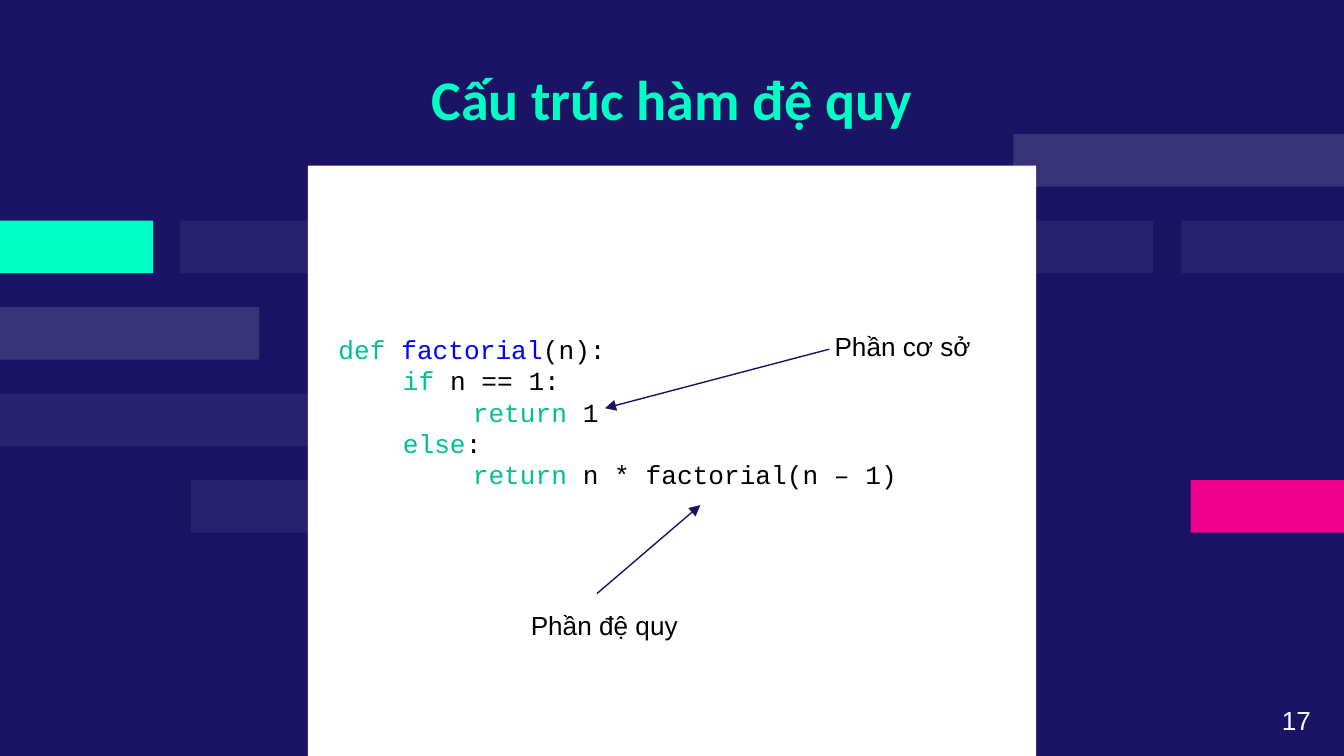
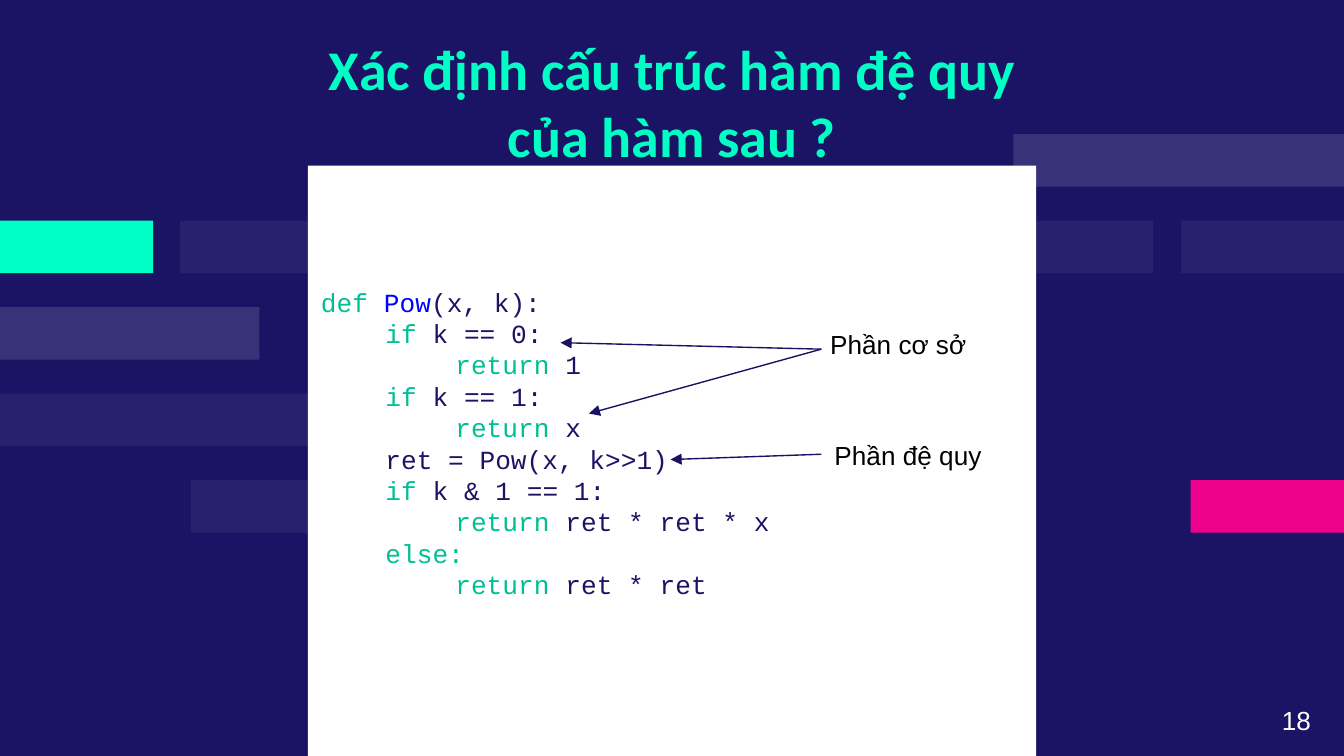
from dataclasses import dataclass

from lxml.etree import SubElement
from pptx import Presentation
from pptx.dml.color import RGBColor
from pptx.enum.shapes import MSO_CONNECTOR as Connector, MSO_SHAPE as Shape
from pptx.enum.text import MSO_ANCHOR as Anchor, MSO_AUTO_SIZE as AutoSize, PP_ALIGN as Align
from pptx.oxml.ns import qn
from pptx.util import Inches, Pt

NAVY, MINT, PINK, WHITE, BLACK = "1B1464", "00FFC5", "EC008C", "FFFFFF", "000000"
KEYWORD, FUNCTION, ARROW = "00BF94", "0000FF", "191264"
INDENTS = (0, 0.48, 1)  # inches for each code level


@dataclass
class Box:
    left: float
    top: float
    width: float
    height: float

    def point(self, x, y):
        """Turn percentages of this box into a position on the slide."""
        return int(self.left + self.width * x / 100), int(self.top + self.height * y / 100)

    def cut(self, x, y, width, height):
        """Cut out a smaller box, given in percent of this one."""
        return Box(*self.point(x, y), int(self.width * width / 100), int(self.height * height / 100))

    def frame(self):
        return self.left, self.top, self.width, self.height


SLIDE = Box(0, 0, Inches(10), Inches(10) * 9 // 16)
PANEL = SLIDE.cut(22.9, 21.9, 54.2, 78.1)

# Brick wall: row, left and width in percent, colour, opacity in percent
BRICK_TOP, BRICK_PITCH, BRICK_HEIGHT = 17.75, 11.44, 6.95
BRICKS = (
    (0, 75.4, 24.6, WHITE, 13),
    (1, 0, 11.4, MINT, 100),
    (1, 13.4, 12.1, WHITE, 6),
    (1, 59.9, 25.9, WHITE, 6),
    (1, 87.9, 12.1, WHITE, 6),
    (2, 0, 19.3, WHITE, 13),
    (3, 0, 24.6, WHITE, 6),
    (4, 14.2, 12.1, WHITE, 6),
    (4, 88.6, 11.4, PINK, 100),
)

# Code lines: level, keyword, function name, rest
FACTORIAL = (
    (0, "def ", "factorial", "(n):"),
    (1, "if", "", " n == 1:"),
    (2, "return", "", " 1"),
    (1, "else", "", ":"),
    (2, "return", "", " n * factorial(n – 1)"),
)
POWER = (
    (0, "def ", "Pow", "(x, k):"),
    (1, "if ", "", "k == 0:"),
    (2, "return ", "", "1"),
    (1, "if ", "", "k == 1:"),
    (2, "return ", "", "x"),
    (1, "", "", "ret = Pow(x, k>>1)"),
    (1, "if ", "", "k & 1 == 1:"),
    (2, "return ", "", "ret * ret * x"),
    (1, "else:", "", ""),
    (2, "return ", "", "ret * ret"),
)


def rgb(color):
    return RGBColor.from_string(color)


def set_font(font, name, size, color, bold=False):
    font.name, font.size, font.bold = name, Pt(size), bold
    font.color.rgb = rgb(color)


def add_block(page, box, color, opacity=100):
    block = page.shapes.add_shape(Shape.RECTANGLE, *box.frame())
    block.shadow.inherit = False
    block.line.fill.background()
    block.fill.solid()
    block.fill.fore_color.rgb = rgb(color)
    if opacity < 100:
        tint = block._element.spPr.find(qn("a:solidFill")).find(qn("a:srgbClr"))
        SubElement(tint, qn("a:alpha"), val=str(opacity * 1000))


def add_text_frame(page, box):
    frame = page.shapes.add_textbox(*box.frame()).text_frame
    frame.word_wrap = True
    frame.auto_size = AutoSize.SHAPE_TO_FIT_TEXT
    return frame


def add_label(page, box, text, color=BLACK):
    para = add_text_frame(page, box).paragraphs[0]
    para.text = text
    set_font(para.font, "Arial", 14, color)


def add_arrow(page, box, start, end):
    arrow = page.shapes.add_connector(Connector.STRAIGHT, *box.point(*start), *box.point(*end))
    arrow.line.color.rgb = rgb(ARROW)
    arrow.line.width = Pt(0.75)
    properties = arrow._element.spPr
    SubElement(properties.find(qn("a:ln")), qn("a:tailEnd"), type="triangle")
    SubElement(properties, qn("a:effectLst"))


def add_code(page, box, lines, color):
    frame = add_text_frame(page, box)
    for number, (level, *pieces) in enumerate(lines):
        para = frame.add_paragraph() if number else frame.paragraphs[0]
        set_font(para.font, "Courier New", 14, color)
        para._p.get_or_add_pPr().set("marL", str(Inches(INDENTS[level])))
        for text, tint in zip(pieces, (KEYWORD, FUNCTION, color)):
            if text:
                span = para.add_run()
                span.text = text
                set_font(span.font, "Courier New", 14, tint)


def add_title(page, box, text):
    title = page.shapes.title
    title.left, title.top, title.width, title.height = box.frame()
    page.shapes._spTree.append(title._element)  # in front of the bricks
    frame = title.text_frame
    frame.text = text
    frame.word_wrap, frame.auto_size = True, AutoSize.NONE
    frame.vertical_anchor = Anchor.TOP
    frame.margin_left = frame.margin_right = Inches(0.1)
    frame.margin_top = frame.margin_bottom = Inches(0.1)
    for para in frame.paragraphs:
        para.alignment = Align.CENTER
        set_font(para.font, "Calibri", 30, MINT, bold=True)


def add_code_page(deck, number, title, title_box, code, code_box, code_color, arrows, labels):
    """Arrows, labels and code are placed in percent of the white panel."""
    page = deck.slides.add_slide(deck.slide_layouts[5])
    page.background.fill.solid()
    page.background.fill.fore_color.rgb = rgb(NAVY)
    for row, left, width, color, opacity in BRICKS:
        top = BRICK_TOP + row * BRICK_PITCH
        add_block(page, SLIDE.cut(left, top, width, BRICK_HEIGHT), color, opacity)
    add_block(page, PANEL, WHITE)
    add_title(page, SLIDE.cut(*title_box), title)
    add_code(page, PANEL.cut(*code_box), code, code_color)
    for start, end in arrows:
        add_arrow(page, PANEL, start, end)
    for text, left, top, width in labels:
        add_label(page, PANEL.cut(left, top, width, 7.7), text)
    add_label(page, SLIDE.cut(94.4, 92.3, 5.6, 6), str(number), WHITE)


def main():
    deck = Presentation()
    deck.slide_width, deck.slide_height = SLIDE.width, SLIDE.height
    add_code_page(
        deck, 17, "Cấu trúc hàm đệ quy", (14, 6.8, 72, 13),
        FACTORIAL, (2.4, 27.3, 84.7, 29.1), BLACK,
        arrows=(((71.6, 31.1), (40.8, 41.1)), ((39.7, 72.5), (53.9, 57.5))),
        labels=(("Phần cơ sở", 70.5, 26.8, 49.1), ("Phần đệ quy", 28.8, 74.1, 37.3)),
    )
    base, recursion = (70.5, 31.1), (70.5, 48.9)
    add_code_page(
        deck, 18, "Xác định cấu trúc hàm đệ quy\vcủa hàm sau ?", (14.7, 2.8, 70.6, 13),
        POWER, (0, 19.3, 84.7, 55.9), NAVY,
        arrows=((base, (34.7, 30)), (base, (38.6, 42)), (recursion, (49.8, 49.8))),
        labels=(("Phần cơ sở", 69.9, 26.4, 30.1), ("Phần đệ quy", 70.5, 45.2, 30.1)),
    )
    deck.save("out.pptx")


if __name__ == "__main__":
    main()
